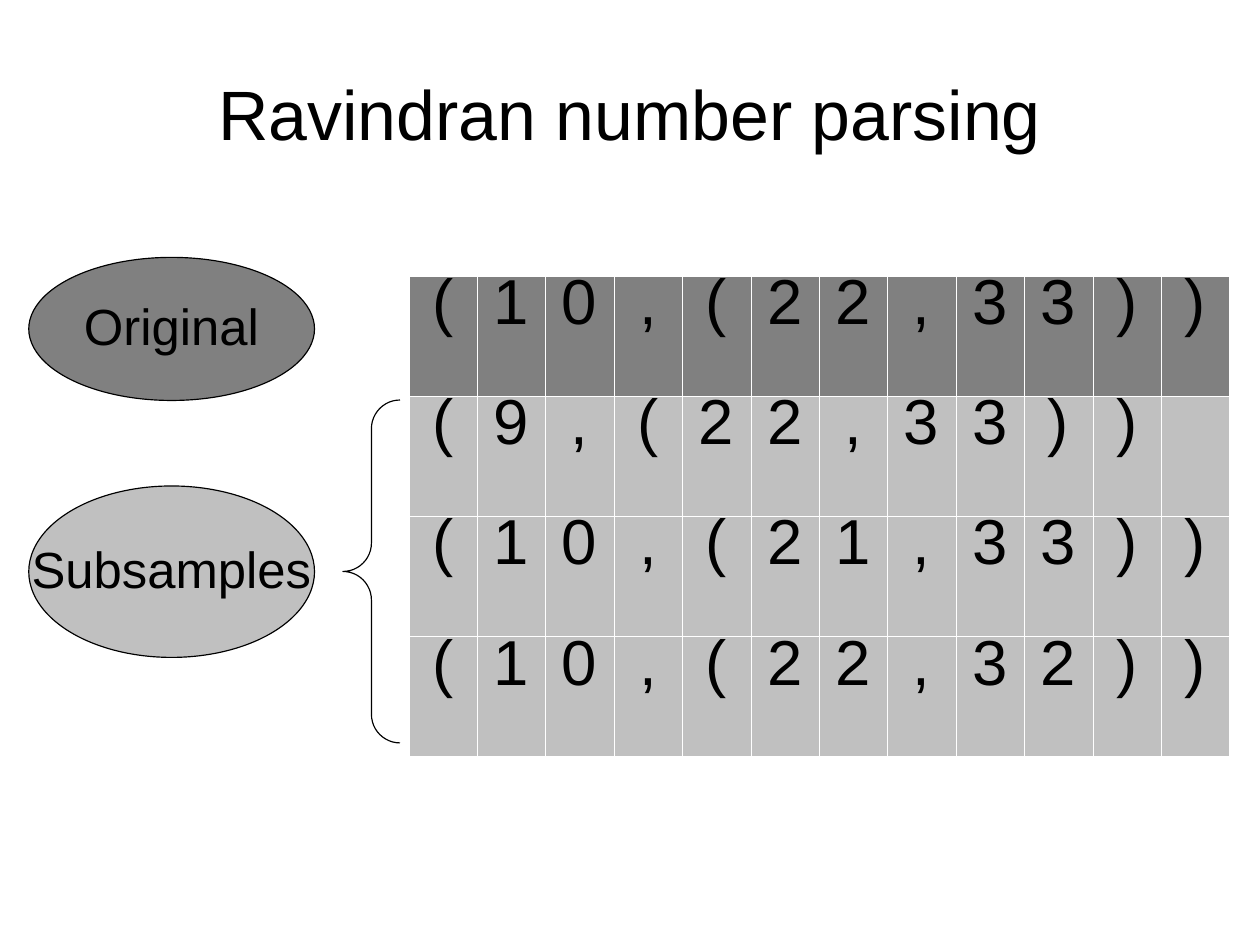
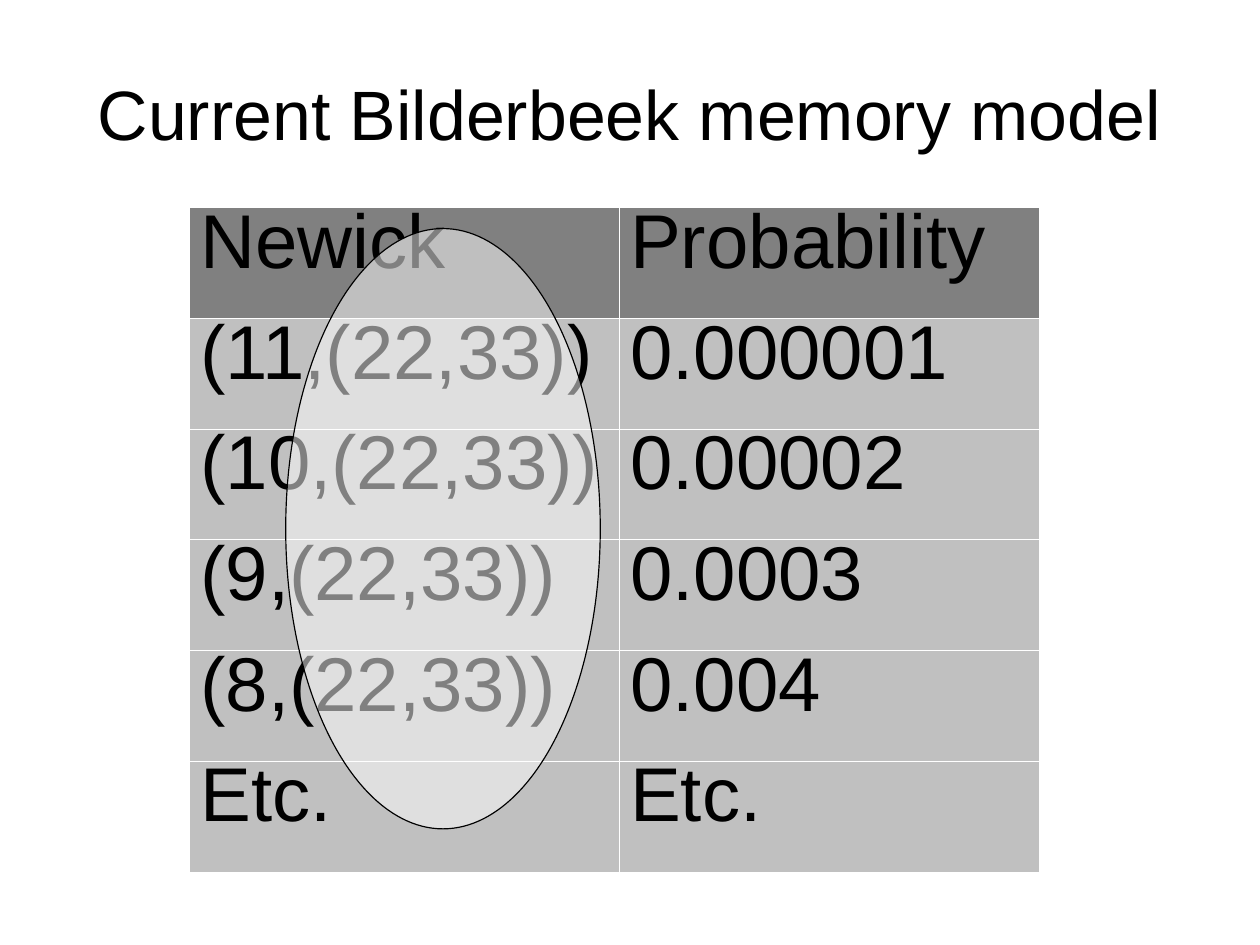
"""Build two slides on parsing Newick text and storing its probabilities."""
from dataclasses import dataclass
from itertools import zip_longest

from lxml.etree import SubElement
from pptx import Presentation
from pptx.dml.color import RGBColor
from pptx.enum.shapes import MSO_SHAPE
from pptx.enum.text import MSO_ANCHOR, PP_ALIGN
from pptx.oxml.ns import qn
from pptx.util import Cm, Pt


@dataclass(frozen=True)
class Theme:
    font: str = "Arial"
    ink: str = "000000"
    paper: str = "FFFFFF"
    dark: str = "808080"
    light: str = "C0C0C0"
    title_size: int = 44
    label_size: int = 32
    letter_size: int = 40
    entry_size: int = 48
    outline: float = 0.75
    border: float = 0.06


THEME = Theme()


def write(frame, text, size, align=PP_ALIGN.CENTER, spacing=0.93):
    para = frame.paragraphs[0]
    para.alignment = align
    para.line_spacing = spacing
    span = para.add_run()
    span.text = text
    span.font.name = THEME.font
    span.font.size = Pt(size)
    span.font.color.rgb = RGBColor.from_string(THEME.ink)


class SlideBuilder:
    def __init__(self, deck, theme):
        self.deck = deck
        self.theme = theme
        self.page = None

    def start(self, title):
        self.page = self.deck.slides.add_slide(self.deck.slide_layouts[6])
        box = self.page.shapes.add_textbox(Cm(1.4), Cm(0.85), Cm(25.2), Cm(3.5))
        frame = box.text_frame
        frame.word_wrap = True
        frame.vertical_anchor = MSO_ANCHOR.MIDDLE
        frame.margin_left = frame.margin_right = 0
        frame.margin_top = frame.margin_bottom = 0
        write(frame, title, self.theme.title_size)

    def outlined(self, kind, place):
        shape = self.page.shapes.add_shape(kind, *map(Cm, place))
        shape.shadow.inherit = False
        shape.line.color.rgb = RGBColor.from_string(self.theme.ink)
        shape.line.width = Pt(self.theme.outline)
        return shape

    def ellipse(self, place, color, text="", opacity=100):
        shape = self.outlined(MSO_SHAPE.OVAL, place)
        shape.fill.solid()
        shape.fill.fore_color.rgb = RGBColor.from_string(color)
        if opacity < 100:
            tint = shape.element.spPr.find(qn("a:solidFill"))[0]
            SubElement(tint, qn("a:alpha"), val=str(opacity * 1000))
        if text:
            frame = shape.text_frame
            frame.word_wrap = False
            frame.vertical_anchor = MSO_ANCHOR.MIDDLE
            write(frame, text, self.theme.label_size)

    def brace(self, place):
        shape = self.outlined(MSO_SHAPE.LEFT_BRACE, place)
        shape.fill.background()
        shape.adjustments[0] = 0.5

    def paint_cell(self, cell, color):
        properties = cell._tc.get_or_add_tcPr()
        for side in ("a:lnL", "a:lnR", "a:lnT", "a:lnB"):
            line = SubElement(properties, qn(side), w=str(Pt(self.theme.border)))
            fill = SubElement(line, qn("a:solidFill"))
            SubElement(fill, qn("a:srgbClr"), val=self.theme.paper)
        cell.fill.solid()
        cell.fill.fore_color.rgb = RGBColor.from_string(color)

    def table(self, left, top, widths, height, rows, **text_format):
        table = self.page.shapes.add_table(
            len(rows), len(widths), Cm(left), Cm(top),
            Cm(sum(widths)), Cm(height * len(rows))).table
        table.first_row = table.horz_banding = False
        for column, width in zip(table.columns, widths):
            column.width = Cm(width)
        for index, (row, texts) in enumerate(zip(table.rows, rows)):
            row.height = Cm(height)
            color = self.theme.light if index else self.theme.dark
            for cell, text in zip_longest(row.cells, texts, fillvalue=""):
                self.paint_cell(cell, color)
                if text:
                    write(cell.text_frame, text, **text_format)


def main():
    deck = Presentation()
    deck.slide_width, deck.slide_height = Cm(28), Cm(21)
    builder = SlideBuilder(deck, THEME)

    builder.start("Ravindran number parsing")
    samples = ["(10,(22,33))", "(9,(22,33))", "(10,(21,33))", "(10,(22,32))"]
    builder.table(9.08, 6.13, [1.52] * 12, 2.67, samples,
                  size=THEME.letter_size, spacing=0.76)
    builder.ellipse((0.64, 5.72, 6.35, 3.18), THEME.dark, "Original")
    builder.ellipse((0.64, 10.8, 6.35, 3.81), THEME.light, "Subsamples")
    builder.brace((7.62, 8.89, 1.27, 7.62))

    builder.start("Current Bilderbeek memory model")
    entries = [
        ("Newick", "Probability"),
        ("(11,(22,33))", "0.000001"),
        ("(10,(22,33))", "0.00002"),
        ("(9,(22,33))", "0.0003"),
        ("(8,(22,33))", "0.004"),
        ("Etc.", "Etc."),
    ]
    builder.table(4.2, 4.61, [9.55, 9.33], 2.46, entries,
                  size=THEME.entry_size, align=PP_ALIGN.LEFT, spacing=0.81)
    builder.ellipse((6.35, 5.08, 6.99, 13.34), THEME.paper, opacity=50)

    deck.save("out.pptx")


if __name__ == "__main__":
    main()
